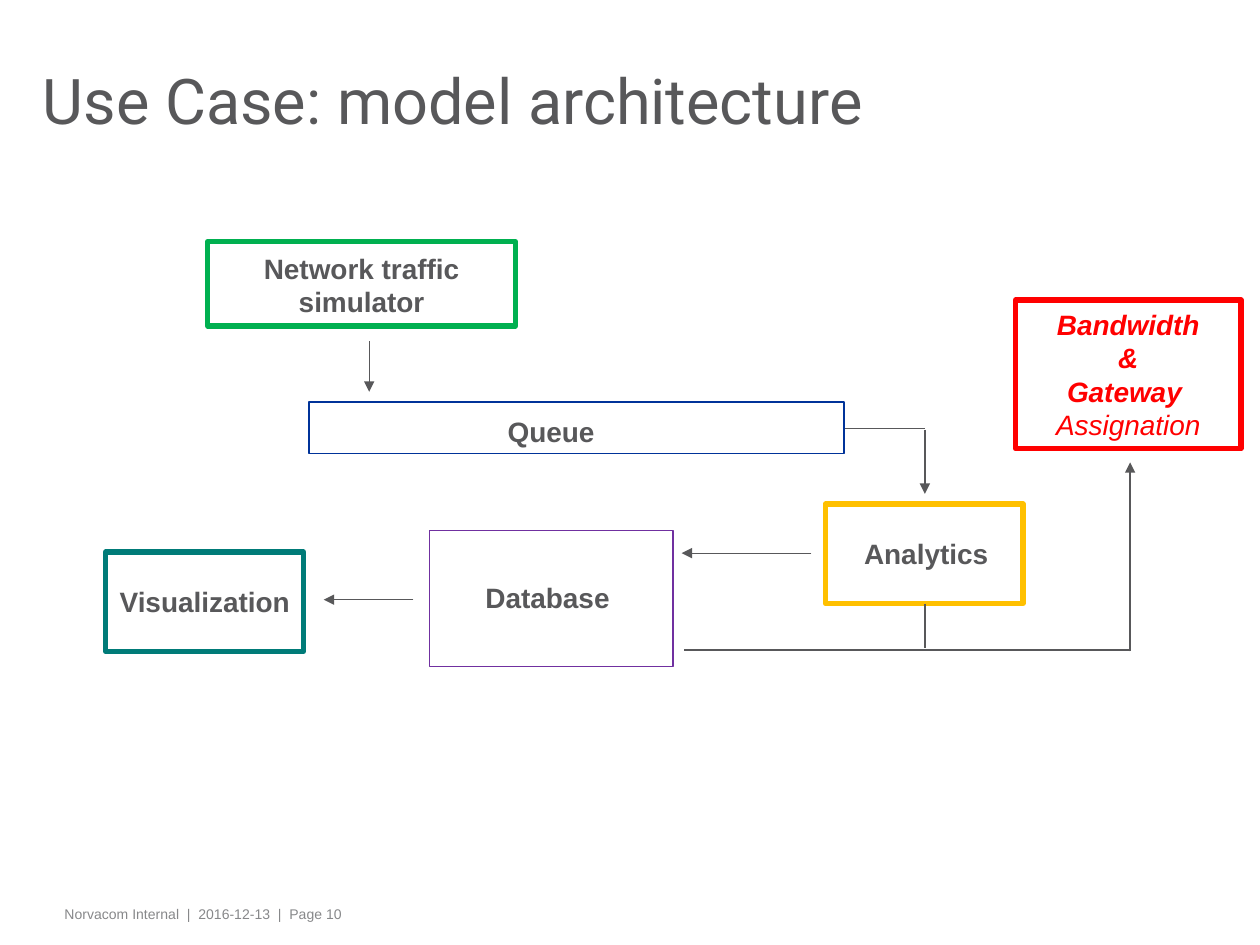
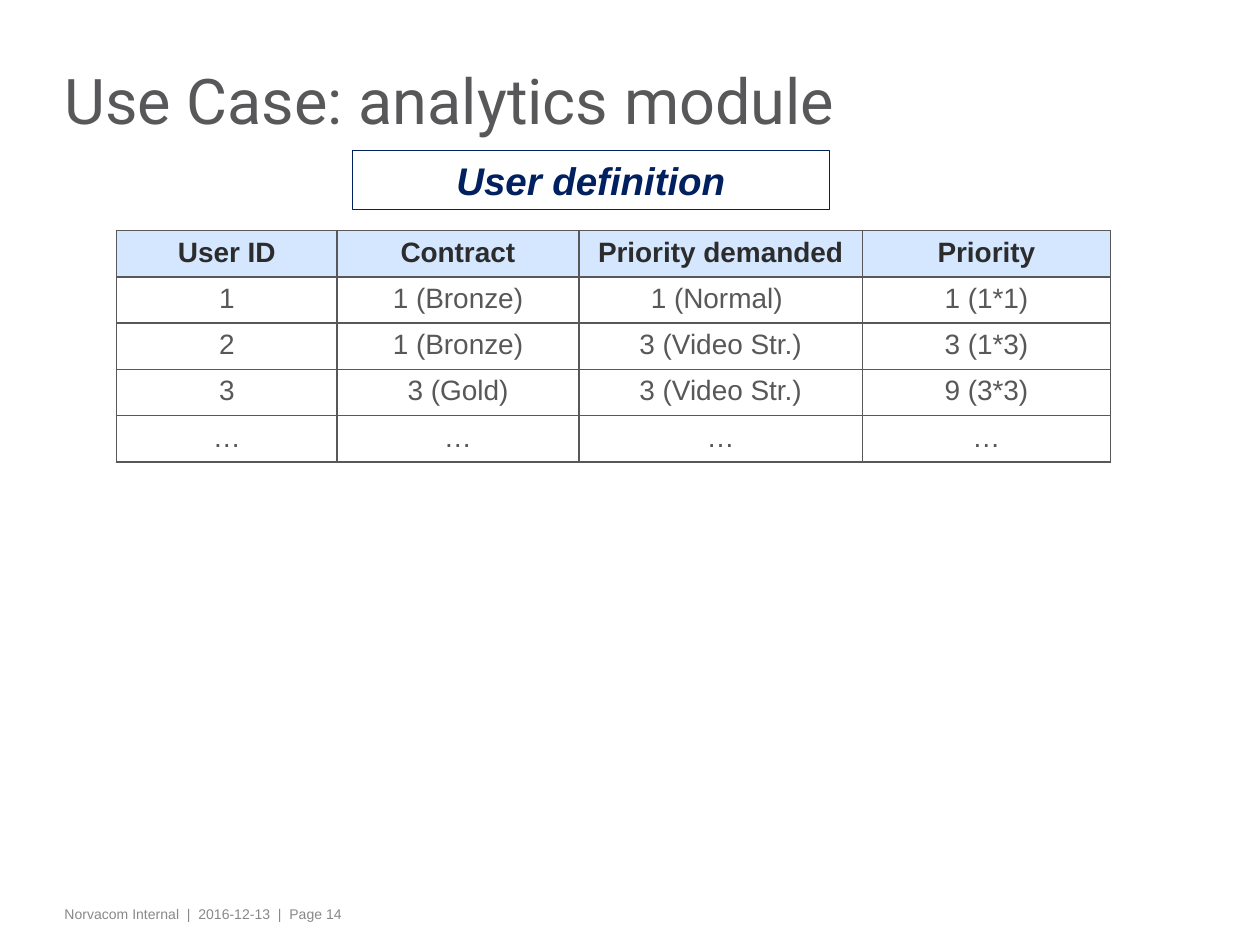
from lxml.etree import SubElement
from pptx import Presentation
from pptx.dml.color import RGBColor
from pptx.enum.shapes import MSO_CONNECTOR as Connector, MSO_SHAPE as Shape
from pptx.enum.text import MSO_ANCHOR as Anchor, PP_ALIGN as Align
from pptx.oxml.ns import qn
from pptx.util import Pt

GREY, FOOTER_GREY, HEADER_TEXT = "58585A", "87888A", "2C2C2D"
WHITE, HEADER_FILL, RED, NAVY = "FFFFFF", "D5E7FF", "FF0000", "002060"
BODY_FONT, TITLE_FONT = "Arial", "Roboto"
FOOTER = "Norvacom Internal  |  2016-12-13  |  Page {}"

NODES = [
    ("Network traffic simulator", (118.8, 138.2, 175.7, 48.2), "00B050", 3,
     (112.3, 139.7, 188.6, 46.1), Align.CENTER),
    ("Queue", (176.4, 229.7, 306, 29.5), "003399", 1,
     (283, 233.3, 67.7, 26.6), Align.LEFT),
    ("Analytics", (471.6, 288, 113, 56.9), "FFC000", 3,
     (486.7, 303.1, 88.6, 26.6), Align.LEFT),
    ("Database", (245.5, 303.1, 139, 77.8), "7030A0", 1,
     (250.6, 328.3, 124.6, 26.6), Align.CENTER),
    ("Visualization", (60.5, 315.4, 113, 56.9), "007B78", 3,
     (54.7, 330.5, 124.6, 26.6), Align.CENTER),
]
ARROWS = [
    (211, 195.1, 211, 223.9),
    (528.5, 245.5, 528.5, 282.2),
    (463.7, 316.1, 389.5, 316.1),
    (645.8, 372.2, 645.8, 264.2),
    (236.2, 342.7, 185, 342.7),
]
LINES = [
    (483.1, 244.8, 528.5, 244.8),
    (391, 371.5, 645.8, 371.5),
    (528.5, 344.9, 528.5, 370.1),
]
USERS = [
    ("User ID", "Contract", "Priority demanded", "Priority"),
    ("1", "1 (Bronze)", "1 (Normal) ", "1 (1*1)"),
    ("2", "1 (Bronze)", "3 (Video Str.)", "3 (1*3)"),
    ("3", "3 (Gold)", "3 (Video Str.)", "9 (3*3)"),
    ("…",) * 4,
]
COLUMN_WIDTHS = (126, 138.2, 162, 141.8)
ROW_HEIGHT = 26.4


def color(value):
    """Turn a hex string into a colour."""
    return RGBColor.from_string(value)


def points(*values):
    """Convert numbers to lengths in points."""
    return [Pt(value) for value in values]


def format_text(text_frame, size, text_color, bold=False, italic=False,
                font=BODY_FONT, align=Align.LEFT):
    """Format every run and align every paragraph."""
    for paragraph in text_frame.paragraphs:
        paragraph.alignment = align
        for run in paragraph.runs:
            run.font.name = font
            run.font.size = Pt(size)
            run.font.bold = bold
            run.font.italic = italic
            run.font.color.rgb = color(text_color)


def start_slide(presentation, title, left, width, page):
    """Add a slide with its title and footer."""
    slide = presentation.slides.add_slide(presentation.slide_layouts[5])
    shape = slide.shapes.title
    shape.left, shape.top, shape.width, shape.height = points(left, 18.7, width, 85.7)
    frame = shape.text_frame
    frame.text = title
    frame.vertical_anchor = Anchor.MIDDLE
    frame.margin_left, frame.margin_right = points(5.8, 5.8)
    frame.margin_top, frame.margin_bottom = points(0, 0)
    frame.paragraphs[0].line_spacing = 0.75
    format_text(frame, 36, GREY, font=TITLE_FONT)
    footer = add_label(slide, FOOTER.format(page), (31, 514.1, 582.5, 17.3),
                       size=8, text_color=FOOTER_GREY, anchor=Anchor.TOP)
    footer.margin_left, footer.margin_right = points(5.8, 5.8)
    return slide


def add_label(slide, text, bounds, size=16, text_color=GREY, bold=False,
              align=Align.LEFT, anchor=Anchor.MIDDLE):
    """Add a wrapping text box and return its text frame."""
    frame = slide.shapes.add_textbox(*points(*bounds)).text_frame
    frame.word_wrap = True
    frame.vertical_anchor = anchor
    frame.text = text
    format_text(frame, size, text_color, bold, align=align)
    return frame


def add_box(slide, bounds, line_color, line_width, fill=None):
    """Add an outlined rectangle, filled when a fill is given."""
    shape = slide.shapes.add_shape(Shape.RECTANGLE, *points(*bounds))
    shape.shadow.inherit = False
    if fill:
        shape.fill.solid()
        shape.fill.fore_color.rgb = color(fill)
    else:
        shape.fill.background()
    shape.line.color.rgb = color(line_color)
    shape.line.width = Pt(line_width)
    return shape


def add_text_box(slide, text, bounds, text_color, line_width, size):
    """Add a box with bold italic text in the colour of its outline."""
    frame = add_box(slide, bounds, text_color, line_width).text_frame
    frame.text = text
    frame.vertical_anchor = Anchor.MIDDLE
    format_text(frame, size, text_color, True, True, align=Align.CENTER)
    return frame


def add_line(slide, ends, arrow=False):
    """Add a thin straight line, with an arrowhead if asked."""
    connector = slide.shapes.add_connector(Connector.STRAIGHT, *points(*ends))
    connector.line.color.rgb = color(GREY)
    connector.line.width = Pt(0.75)
    if arrow:
        SubElement(connector.line._get_or_add_ln(), qn("a:tailEnd"), type="triangle")
    SubElement(connector._element.spPr, qn("a:effectLst"))


def add_borders(cell):
    """Draw a thin grey border on all four sides of a cell."""
    properties = cell._tc.get_or_add_tcPr()
    for side in "LRTB":
        line = SubElement(properties, qn(f"a:ln{side}"), w=str(Pt(1)))
        fill = SubElement(line, qn("a:solidFill"))
        SubElement(fill, qn("a:srgbClr"), val=GREY)


def add_user_table(slide, left, top):
    """Add the user table with a tinted header row."""
    table = slide.shapes.add_table(
        len(USERS), len(COLUMN_WIDTHS),
        *points(left, top, sum(COLUMN_WIDTHS), ROW_HEIGHT * len(USERS))).table
    table.horz_banding = False
    for column, width in zip(table.columns, COLUMN_WIDTHS):
        column.width = Pt(width)
    for row_index, values in enumerate(USERS):
        table.rows[row_index].height = Pt(ROW_HEIGHT)
        header = row_index == 0
        for column_index, value in enumerate(values):
            cell = table.cell(row_index, column_index)
            cell.text_frame.text = value
            format_text(cell.text_frame, 16, HEADER_TEXT if header else GREY,
                        header, align=Align.CENTER)
            add_borders(cell)
            if header:
                cell.fill.solid()
                cell.fill.fore_color.rgb = color(HEADER_FILL)
            else:
                cell.fill.background()


def build_architecture(presentation):
    """Build the architecture diagram slide."""
    slide = start_slide(presentation, "Use Case: model architecture", 18.7, 631.4, 10)
    for text, bounds, line_color, width, label_bounds, align in NODES:
        add_box(slide, bounds, line_color, width, WHITE)
        add_label(slide, text, label_bounds, bold=True, align=align)
    for ends in LINES:
        add_line(slide, ends)
    for ends in ARROWS:
        add_line(slide, ends, arrow=True)
    result = add_text_box(slide, "Bandwidth\n&\nGateway \nAssignation",
                          (580.3, 171.4, 128.9, 85), RED, 3, 16)
    result.paragraphs[-1].runs[0].font.bold = False


def build_analytics(presentation):
    """Build the user definition slide."""
    slide = start_slide(presentation, "Use Case: analytics module", 31, 590.4, 14)
    add_text_box(slide, "User definition", (201.2, 86, 272.9, 33.8), NAVY, 0.5, 22)
    add_user_table(slide, 66.6, 131.8)


def main():
    """Build and save the presentation."""
    presentation = Presentation()
    presentation.slide_width, presentation.slide_height = points(720, 540)
    build_architecture(presentation)
    build_analytics(presentation)
    presentation.save("out.pptx")


main()
